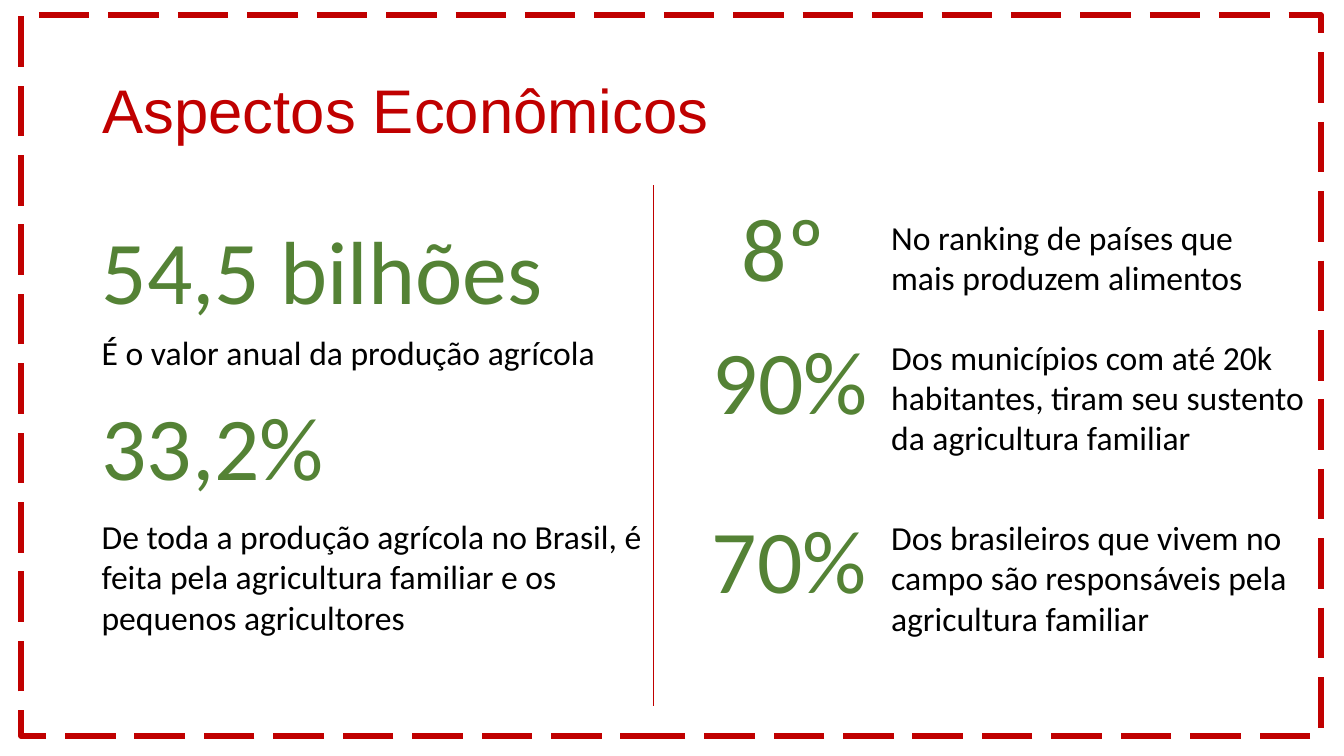
from lxml.etree import SubElement
from pptx import Presentation
from pptx.dml.color import RGBColor
from pptx.enum.dml import MSO_LINE
from pptx.enum.shapes import MSO_CONNECTOR, MSO_SHAPE
from pptx.enum.text import MSO_ANCHOR, MSO_AUTO_SIZE
from pptx.oxml.ns import qn
from pptx.util import Inches, Pt

RED = RGBColor(0xC0, 0x00, 0x00)
GREEN = RGBColor(0x54, 0x82, 0x35)
BLACK = RGBColor(0x00, 0x00, 0x00)

FIGURE_HEIGHT = 1.18
NOTE_LEFT = 8.74

PRODUCTION_FIGURES = [
    ("54,5 bilhões", 0.91, 2.08, 4.71),
    ("33,2%", 0.91, 3.83, 3.54),
]
PRODUCTION_NOTES = [
    ("É o valor anual da produção agrícola", 0.91, 3.24, 5.12, 0.5),
    ("De toda a produção agrícola no Brasil, é feita pela agricultura "
     "familiar e os pequenos agricultores", 0.91, 5.07, 5.56, 1.31),
]
REACH_FIGURES = [
    ("8º", 7.26, 1.85, 1.19),
    ("90%", 6.97, 3.17, 3.54),
    ("70%", 6.96, 4.95, 1.78),
]
REACH_NOTES = [
    ("No ranking de países que mais produzem alimentos",
     NOTE_LEFT, 2.1, 3.94, 0.91),
    ("Dos municípios com até 20k habitantes, tiram seu sustento da "
     "agricultura familiar", NOTE_LEFT, 3.29, 4.31, 1.31),
    ("Dos brasileiros que vivem no campo são responsáveis pela "
     "agricultura familiar", NOTE_LEFT, 5.08, 4.16, 1.31),
]


def write_text(frame, text, *, size, color, font="Calibri", spacing=None):
    paragraph = frame.paragraphs[0]
    paragraph.line_spacing = spacing
    run = paragraph.add_run()
    run.text = text
    run.font.name = font
    run.font.size = Pt(size)
    run.font.color.rgb = color


class EconomySlide:
    def __init__(self, slide):
        self.slide = slide

    def title(self, text, left, top, width, height):
        heading = self.slide.shapes.add_textbox(
            Inches(left), Inches(top), Inches(width), Inches(height))
        frame = heading.text_frame
        frame.word_wrap = True
        frame.vertical_anchor = MSO_ANCHOR.MIDDLE
        write_text(frame, text, size=44, color=RED, font="Arial", spacing=0.9)

    def label(self, shapes, text, left, top, width, height, **style):
        box = shapes.add_textbox(
            Inches(left), Inches(top), Inches(width), Inches(height))
        frame = box.text_frame
        frame.word_wrap = True
        frame.auto_size = MSO_AUTO_SIZE.SHAPE_TO_FIT_TEXT
        write_text(frame, text, **style)

    def column(self, figures, notes):
        shapes = self.slide.shapes.add_group_shape().shapes
        for figure in figures:
            self.label(shapes, *figure, FIGURE_HEIGHT, size=64, color=GREEN)
        for note in notes:
            self.label(shapes, *note, size=24, color=BLACK)

    def divider(self, x, top, bottom):
        rule = self.slide.shapes.add_connector(
            MSO_CONNECTOR.STRAIGHT,
            Inches(x), Inches(top), Inches(x), Inches(bottom))
        rule.line.color.rgb = RED
        rule.line.width = Pt(0.5)
        SubElement(rule.element.spPr, qn("a:effectLst"))

    def border(self, left, top, width, height):
        border = self.slide.shapes.add_shape(
            MSO_SHAPE.RECTANGLE,
            Inches(left), Inches(top), Inches(width), Inches(height))
        border.shadow.inherit = False
        border.fill.background()
        border.line.color.rgb = RED
        border.line.width = Pt(4.5)
        border.line.dash_style = MSO_LINE.LONG_DASH


def main():
    deck = Presentation()
    deck.slide_width = Inches(13.33)
    deck.slide_height = Inches(7.5)
    economy = EconomySlide(deck.slides.add_slide(deck.slide_layouts[6]))
    economy.title("Aspectos Econômicos", 0.92, 0.4, 11.5, 1.45)
    economy.column(PRODUCTION_FIGURES, PRODUCTION_NOTES)
    economy.column(REACH_FIGURES, REACH_NOTES)
    economy.divider(6.48, 1.84, 7)
    economy.border(0.21, 0.15, 12.89, 7.15)
    deck.save("out.pptx")


if __name__ == "__main__":
    main()
